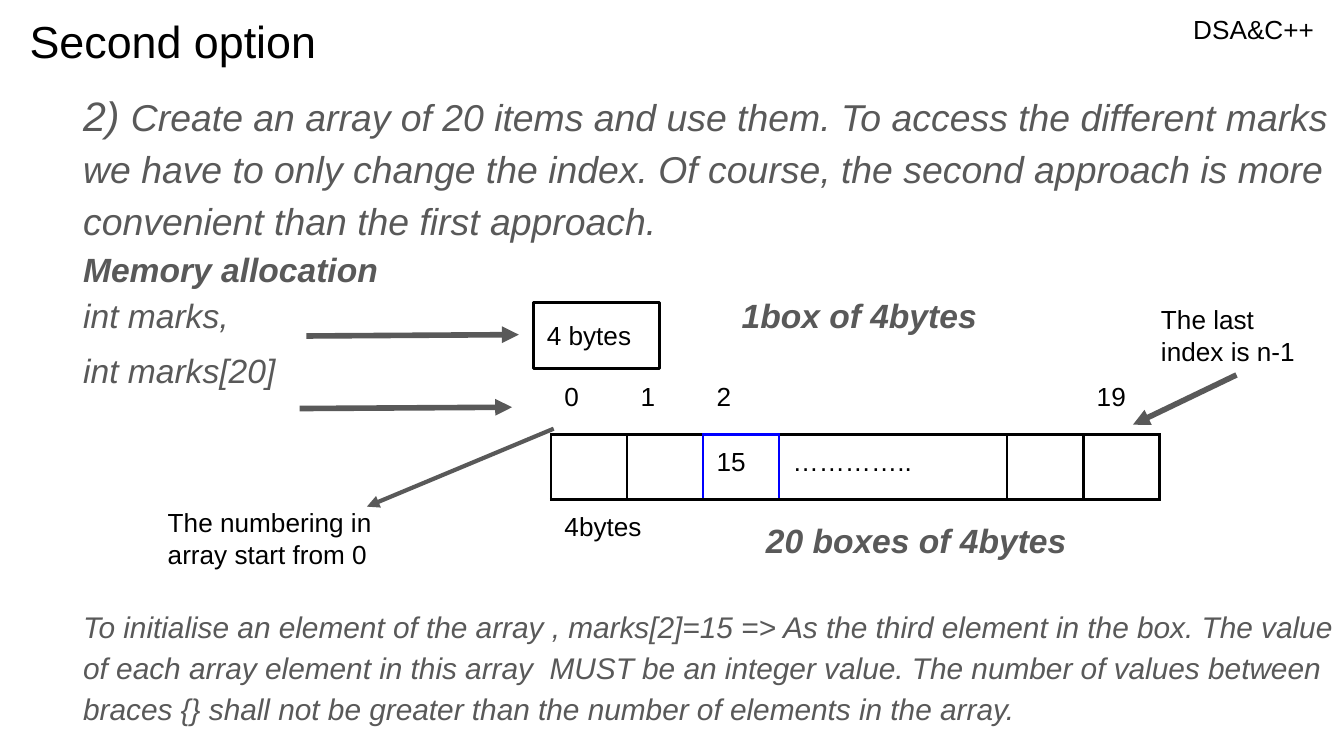
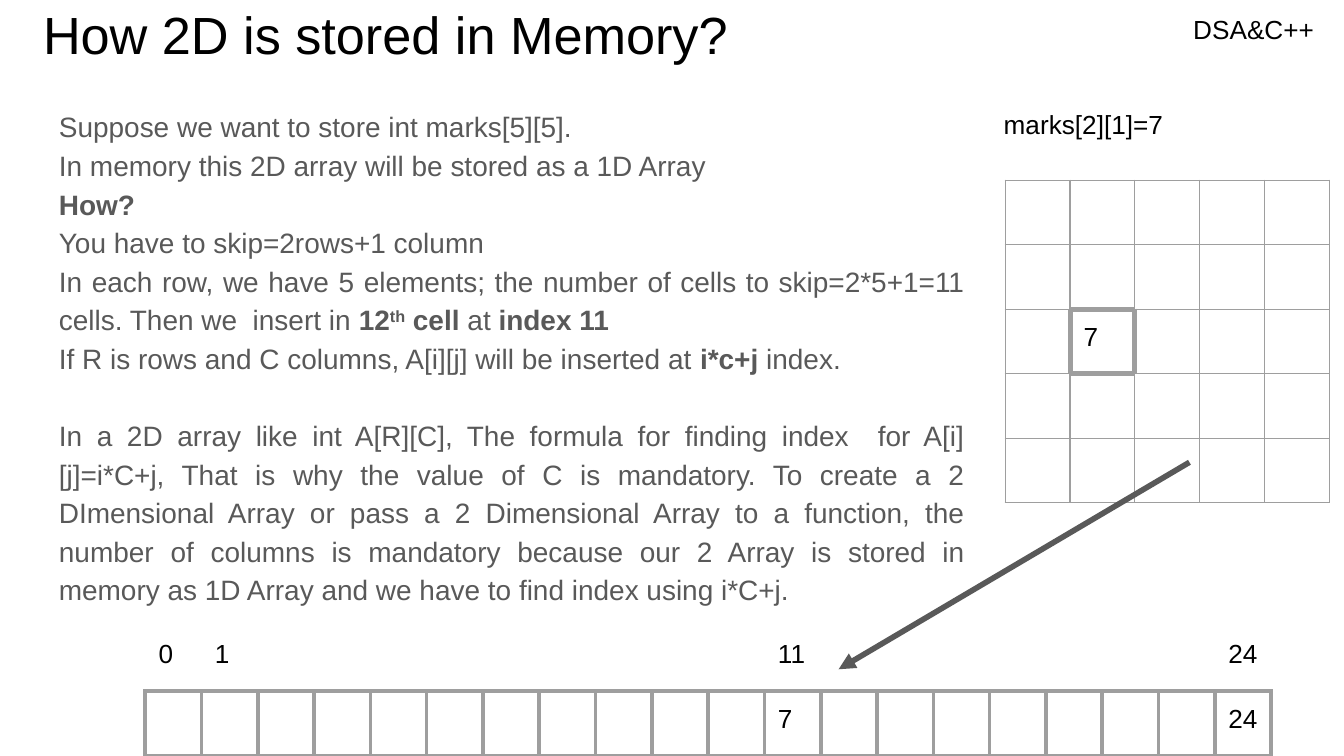
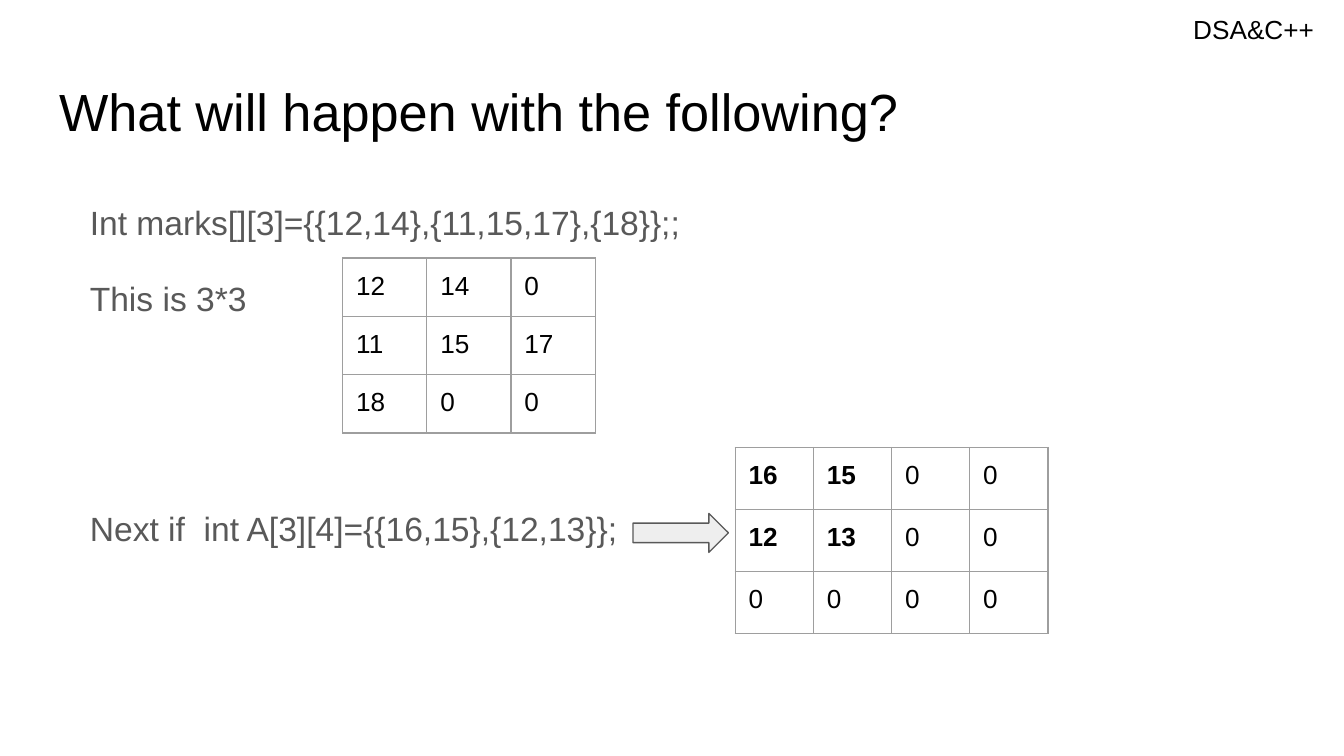
from dataclasses import dataclass

from lxml import etree
from pptx import Presentation
from pptx.dml.color import RGBColor
from pptx.enum.shapes import MSO_CONNECTOR, MSO_SHAPE
from pptx.enum.text import MSO_ANCHOR, MSO_AUTO_SIZE, PP_ALIGN
from pptx.oxml.ns import qn
from pptx.util import Inches, Pt

LEFT, JUSTIFY = PP_ALIGN.LEFT, PP_ALIGN.JUSTIFY
TOP, MIDDLE = MSO_ANCHOR.TOP, MSO_ANCHOR.MIDDLE
RECT, RIGHT_ARROW = MSO_SHAPE.RECTANGLE, MSO_SHAPE.RIGHT_ARROW
STRAIGHT = MSO_CONNECTOR.STRAIGHT


@dataclass(frozen=True)
class Theme:
    font: str = "Arial"
    ink: str = "000000"
    body: str = "595959"
    rule: str = "9E9E9E"
    accent: str = "0000FF"
    pale: str = "EEEEEE"
    label_size: int = 14
    line_spacing: float = 1.15


theme = Theme()
INK, BODY = RGBColor.from_string(theme.ink), RGBColor.from_string(theme.body)
UNIT = Inches(0.1)  # the slide is a grid of 100 columns by 56.25 rows
INSET = UNIT
NEIGHBOURS = {"L": (0, -1), "R": (0, 1), "T": (-1, 0), "B": (1, 0)}

prs = Presentation()
prs.slide_width, prs.slide_height = 100 * UNIT, int(56.25 * UNIT)
layout = prs.slide_layouts[5]


def add_body(sl, box, paragraphs):
    """Add grey text; a paragraph is (size, space before, runs), a bold run is in a tuple."""
    tf = sl.shapes.add_textbox(*(int(v * UNIT) for v in box)).text_frame
    tf.word_wrap = True
    tf.margin_left = tf.margin_right = tf.margin_top = tf.margin_bottom = INSET
    for i, (size, before, runs) in enumerate(paragraphs):
        p = tf.paragraphs[0] if i == 0 else tf.add_paragraph()
        p.line_spacing, p.space_before = theme.line_spacing, Pt(before)
        p.font.name, p.font.size, p.font.color.rgb = theme.font, Pt(size), BODY
        for run in runs:
            r = p.add_run()
            if isinstance(run, tuple):
                r.text, r.font.bold = run[0], True
            else:
                r.text = run
    return tf.paragraphs


def add_grid(sl, left, top, col_w, row_h, rows, line, ruled=None, boxed=None, spans=()):
    """Add a table; ruled lists the rows with borders, boxed gives single cells their own."""
    ruled = range(len(rows)) if ruled is None else ruled
    boxed = boxed or {}
    n_cols = len(rows[0])
    size = (left, top, col_w * n_cols, row_h * len(rows))
    table = sl.shapes.add_table(len(rows), n_cols, *(int(v * UNIT) for v in size)).table
    table.first_row = table.horz_banding = False
    for column in table.columns:
        column.width = int(col_w * UNIT)
    for row in table.rows:
        row.height = int(row_h * UNIT)
    for start, end in spans:
        table.cell(*start).merge(table.cell(*end))
    for r, row in enumerate(rows):
        for c, text in enumerate(row):
            cell = table.cell(r, c)
            if cell.is_spanned:
                continue
            cell.text = str(text)
            cell.margin_left = cell.margin_right = INSET
            cell.margin_top = cell.margin_bottom = INSET
            p = cell.text_frame.paragraphs[0]
            p.font.name, p.font.size = theme.font, Pt(theme.label_size)
            p.font.color.rgb = INK
            tcPr = cell._tc.get_or_add_tcPr()
            for side in "BTRL":
                dr, dc = NEIGHBOURS[side]
                near = (r + dr, c + dc)
                pen = boxed.get((r, c)) or boxed.get(near)
                if not pen and (r in ruled or near[0] in ruled):
                    pen = line
                ln = etree.Element(qn("a:ln" + side))
                tcPr.insert(0, ln)
                if pen:
                    ln.set("w", str(Pt(pen[1])))
                    fill = etree.SubElement(ln, qn("a:solidFill"))
                    etree.SubElement(fill, qn("a:srgbClr"), val=pen[0])
                else:
                    etree.SubElement(ln, qn("a:noFill"))
            cell.fill.background()
    return table


# Slides and titles
slides = []
for text, size, left, top in [
    ("Second option", 24, 1.2, 0),
    ("How 2D is stored in Memory?", 28, 2.2, -0.8),
    ("What will happen with the following?", 28, 3.4, 4.9),
]:
    sl = prs.slides.add_slide(layout)
    slides.append(sl)
    title = sl.shapes.title
    title.left, title.top = int(left * UNIT), int(top * UNIT)
    title.width, title.height = int(93.2 * UNIT), int(6.3 * UNIT)
    tf = title.text_frame
    tf.text = text
    tf.auto_size, tf.vertical_anchor = MSO_AUTO_SIZE.NONE, TOP
    tf.margin_left = tf.margin_right = tf.margin_top = tf.margin_bottom = INSET
    p = tf.paragraphs[0]
    p.alignment = LEFT
    p.font.name, p.font.size, p.font.color.rgb = theme.font, Pt(size), INK
option, memory, quiz = slides

# Second option: explanation and the array of 20 marks
ps = add_body(option, (5.2, 5.2, 96.2, 47), [
    (20, 0, ["2) ", "Create an array of 20 items and use them. To access the different marks "
             "we have to only change the index. Of course, the second approach is more "
             "convenient than the first approach."]),
    (18, 0, [("Memory allocation",)]),
    (18, 0, ["int marks,\t", ("1box of 4bytes",)]),
    (18, 4.5, ["int marks[20]"]),
    (18, 66, [("20 boxes of 4bytes",)]),
    (16, 23, ["To initialise an element of the array , marks[2]=15 => As the third element in "
              "the box. The value of each array element in this array  MUST be an integer "
              "value. The number of values between braces {} shall not be greater than the "
              "number of elements in the array."]),
])
for p in ps:
    p.font.italic = True
ps[0].runs[0].font.size = Pt(22)
tabs = etree.Element(qn("a:tabLst"))
etree.SubElement(tabs, qn("a:tab"), pos=str(49 * UNIT), algn="l")
ps[2]._p.pPr.find(qn("a:defRPr")).addprevious(tabs)
ps[4]._p.pPr.set("marL", str(int(50.8 * UNIT)))
ps[4]._p.pPr.set("indent", "0")

sp = option.shapes.add_shape(RECT, *(int(v * UNIT) for v in (39.7, 22.5, 9.4, 4.9)))
sp.shadow.inherit = False
sp.fill.background()
sp.line.color.rgb, sp.line.width = INK, Pt(1.5)
tf = sp.text_frame
tf.text, tf.vertical_anchor = "4 bytes", MIDDLE
tf.margin_left = tf.margin_right = tf.margin_top = tf.margin_bottom = INSET
p = tf.paragraphs[0]
p.alignment = LEFT
p.font.name, p.font.size, p.font.color.rgb = theme.font, Pt(theme.label_size), INK

add_grid(
    option, 41, 27.5, 5.66, 4.84,
    [[0, 1, 2, "", "", "", "", 19],
     ["", "", 15, "…………..", "", "", "", ""],
     ["4bytes"] + [""] * 7],
    line=(theme.ink, 1.5), ruled=[1], boxed={(1, 2): (theme.accent, 1.5)},
    spans=[((0, 3), (0, 5)), ((1, 3), (1, 5)), ((2, 0), (2, 7))],
)

# 2D in memory: explanation, the 5 by 5 array and its memory strip
ps = add_body(memory, (3.4, 6.8, 69.4, 40.4), [
    (15, 0, ["Suppose we want to store int marks[5][5]."]),
    (15, 0, ["In memory this 2D array will be stored as a 1D Array"]),
    (15, 0, [("How?",)]),
    (15, 0, ["You have to skip=2rows+1 column"]),
    (15, 0, ["In each row, we have 5 elements; the number of cells to skip=2*5+1=11 cells. "
             "Then we  insert in ", ("12",), ("th",), (" cell ",), "at ", ("index 11",)]),
    (15, 0, ["If R is rows and C columns, A[i][j] will be inserted at ", ("i*c+j",), " index."]),
    (15, 20.5, ["In a 2D array like int A[R][C], The formula for finding index  for "
                "A[i][j]=i*C+j, That is why the value of C is mandatory. To create a 2 "
                "DImensional Array or pass a 2 Dimensional Array to a function, the number of "
                "columns is mandatory because our 2 Array is stored in memory as 1D Array and "
                "we have to find index using i*C+j."]),
])
for p in ps[3:]:
    p.alignment = JUSTIFY
ps[4].runs[2]._r.get_or_add_rPr().set("baseline", "30000")

marks = [[""] * 5 for _ in range(5)]
marks[2][1] = 7
add_grid(memory, 74.8, 13.4, 4.82, 4.8, marks, line=(theme.rule, 0.75),
         boxed={(2, 1): (theme.rule, 3)})
indexes, values = [""] * 20, [""] * 20
indexes[0], indexes[1], indexes[11], indexes[19] = 0, 1, 11, 24
values[11], values[19] = 7, 24
add_grid(memory, 10.8, 46.6, 4.19, 4.84, [indexes, values], line=(theme.rule, 2.25), ruled=[1])

# Quiz: two declarations and the arrays they give
add_body(quiz, (5.7, 13.6, 93.2, 37.4), [
    (18, 0, ["Int marks[][3]={{12,14},{11,15,17},{18}};;"]),
    (18, 16, ["This is 3*3"]),
    (18, 98, ["Next if  int A[3][4]={{16,15},{12,13}};"]),
])
add_grid(quiz, 25.5, 19.2, 6.26, 4.2, [[12, 14, 0], [11, 15, 17], [18, 0, 0]],
         line=(theme.rule, 0.75))
table = add_grid(quiz, 54.7, 33.3, 5.82, 4.62,
                 [[16, 15, 0, 0], [12, 13, 0, 0], [0, 0, 0, 0]], line=(theme.rule, 0.75))
for r in range(2):
    for c in range(2):
        table.cell(r, c).text_frame.paragraphs[0].font.bold = True
sp = quiz.shapes.add_shape(RIGHT_ARROW, *(int(v * UNIT) for v in (47.1, 38.2, 7.1, 2.9)))
sp.shadow.inherit = False
sp.fill.solid()
sp.fill.fore_color.rgb = RGBColor.from_string(theme.pale)
sp.line.color.rgb, sp.line.width = BODY, Pt(0.75)

# Arrows
for sl, start, end, width in [
    (option, (22.3, 30.4), (38.1, 30.3), 3),
    (option, (22.8, 25), (38.6, 24.9), 3),
    (option, (41.2, 31.9), (27.3, 37.7), 2.25),
    (option, (92, 27.9), (84.3, 31.6), 3),
    (memory, (88.5, 34.4), (62.4, 49.8), 3),
]:
    arrow = sl.shapes.add_connector(STRAIGHT, *(int(v * UNIT) for v in start + end))
    arrow.line.color.rgb, arrow.line.width = BODY, Pt(width)
    etree.SubElement(arrow.line._get_or_add_ln(), qn("a:tailEnd"), type="triangle")
    etree.SubElement(arrow.element.spPr, qn("a:effectLst"))

# Captions; the last one is the course header
for sl, text, box in [
    (option, "The numbering in array start from 0", (11.5, 36.7, 17.6, 9.1)),
    (option, "The last index is n-1", (85.4, 21.6, 13.3, 6.3)),
    (memory, "marks[2][1]=7", (73.7, 7.1, 14.4, 7.1)),
    (quiz, "DSA&C++", (87.8, 0, 11.5, 4.3)),
]:
    sp = sl.shapes.add_textbox(*(int(v * UNIT) for v in box))
    tf = sp.text_frame
    tf.text, tf.word_wrap = text, True
    tf.margin_left = tf.margin_right = tf.margin_top = tf.margin_bottom = INSET
    p = tf.paragraphs[0]
    p.font.name, p.font.size, p.font.color.rgb = theme.font, Pt(theme.label_size), INK

# The header moves to the layout, so every slide shows it
sp.element.nvSpPr.cNvPr.set("id", "20")
layout.shapes.element.append(sp.element)

prs.save("out.pptx")
